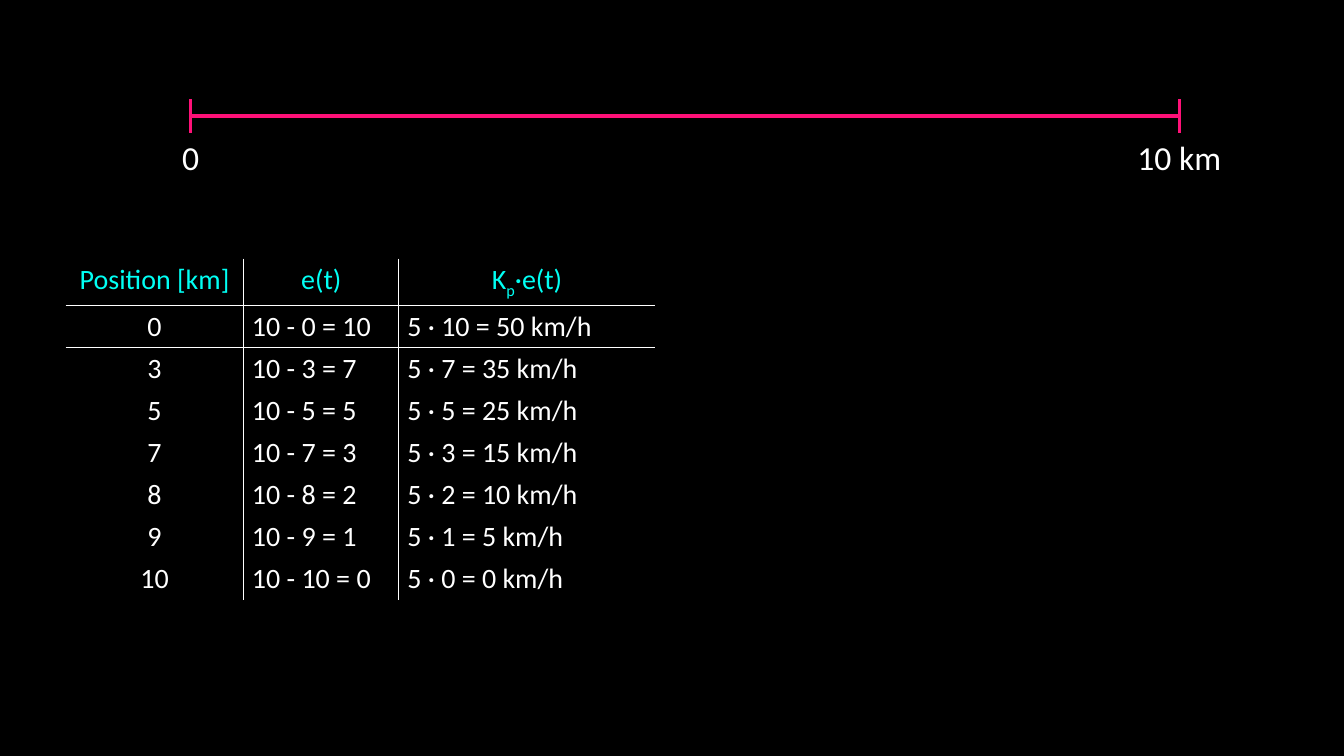
from lxml import etree
from pptx import Presentation
from pptx.dml.color import RGBColor
from pptx.enum.shapes import MSO_CONNECTOR
from pptx.enum.text import MSO_AUTO_SIZE, PP_ALIGN
from pptx.oxml.ns import qn
from pptx.util import Inches, Pt

STRAIGHT = MSO_CONNECTOR.STRAIGHT
FIT_SHAPE = MSO_AUTO_SIZE.SHAPE_TO_FIT_TEXT
CENTER, LEFT = PP_ALIGN.CENTER, PP_ALIGN.LEFT

BLACK, WHITE, PINK, CYAN = "000000", "FFFFFF", "FF1178", "01FFF4"
FONT = "Calibri"
NO_STYLE = "{2D5ABB26-0587-4C30-8999-92F81FD0307C}"

AXIS_Y, TICK_HALF = 1.38, 0.2
AXIS_MARKS = [("0", 2.27, 0.41), ("10 km", 14.04, 1.21)]
LABEL_TOP, LABEL_HEIGHT = 1.58, 0.59

TABLE_LEFT, TABLE_TOP = 0.78, 3.08
COLUMN_WIDTHS = [2.12, 1.85, 3.05]
HEADER_HEIGHT, ROW_HEIGHT = 0.55, 0.5
RULED_ROWS = 2
HEADER = [
    [("Position [km]", 0)],
    [("e(t)", 0)],
    [("K", 0), ("p", -25000), ("·e(t)", 0)],
]
ROWS = [
    ("0", "10 - 0 = 10", "5 · 10 = 50 km/h"),
    ("3", "10 - 3 = 7", "5 · 7 = 35 km/h"),
    ("5", "10 - 5 = 5", "5 · 5 = 25 km/h"),
    ("7", "10 - 7 = 3", "5 · 3 = 15 km/h"),
    ("8", "10 - 8 = 2", "5 · 2 = 10 km/h"),
    ("9", "10 - 9 = 1", "5 · 1 = 5 km/h"),
    ("10", "10 - 10 = 0", "5 · 0 = 0 km/h"),
]


def rgb(color):
    return RGBColor.from_string(color)


def write(paragraph, pieces, size, color, alignment):
    paragraph.alignment = alignment
    for text, baseline in pieces:
        run = paragraph.add_run()
        run.text = text
        for name, value in {"name": FONT, "size": Pt(size)}.items():
            setattr(run.font, name, value)
        run.font.color.rgb = rgb(color)
        if baseline:
            run.font._element.set("baseline", str(baseline))


def add_line(slide, start, end):
    line = slide.shapes.add_connector(STRAIGHT, *map(Inches, start + end))
    line.line.color.rgb = rgb(PINK)
    line.line.width = Pt(3)
    etree.SubElement(line._element.spPr, qn("a:effectLst"))


def add_label(slide, text, center, width):
    box = slide.shapes.add_textbox(
        Inches(center - width / 2), Inches(LABEL_TOP), Inches(width), Inches(LABEL_HEIGHT)
    )
    for name, value in {"word_wrap": False, "auto_size": FIT_SHAPE}.items():
        setattr(box.text_frame, name, value)
    write(box.text_frame.paragraphs[0], [(text, 0)], 28.8, WHITE, CENTER)


def set_borders(cell, sides):
    properties = cell._tc.get_or_add_tcPr()
    for index, side in enumerate("LRTB"):
        border = etree.Element(qn("a:ln" + side), w=str(Pt(1)))
        if side in sides:
            fill = etree.SubElement(border, qn("a:solidFill"))
            etree.SubElement(fill, qn("a:srgbClr"), val=WHITE)
        else:
            etree.SubElement(border, qn("a:noFill"))
        properties.insert(index, border)


def border_sides(row, column):
    return {
        "L": column > 0,
        "R": column < len(COLUMN_WIDTHS) - 1,
        "T": 0 < row <= RULED_ROWS,
        "B": row < RULED_ROWS,
    }


def add_values_table(slide):
    contents = [HEADER] + [[[(text, 0)] for text in row] for row in ROWS]
    heights = [HEADER_HEIGHT] + [ROW_HEIGHT] * len(ROWS)
    frame = slide.shapes.add_table(
        len(contents), len(COLUMN_WIDTHS), Inches(TABLE_LEFT), Inches(TABLE_TOP),
        Inches(sum(COLUMN_WIDTHS)), Inches(sum(heights)),
    )
    table = frame.table
    table.first_row = table.horz_banding = False
    table._tbl.tblPr.find(qn("a:tableStyleId")).text = NO_STYLE
    for column, width in zip(table.columns, COLUMN_WIDTHS):
        column.width = Inches(width)
    for row, height in zip(table.rows, heights):
        row.height = Inches(height)
    for row_index, row in enumerate(contents):
        for column_index, pieces in enumerate(row):
            cell = table.cell(row_index, column_index)
            cell.fill.background()
            sides = border_sides(row_index, column_index)
            set_borders(cell, [side for side, shown in sides.items() if shown])
            color = CYAN if row_index == 0 else WHITE
            alignment = CENTER if row_index == 0 or column_index == 0 else LEFT
            write(cell.text_frame.paragraphs[0], pieces, 24, color, alignment)


def main():
    presentation = Presentation()
    presentation.slide_width = Inches(16)
    presentation.slide_height = Inches(9)
    slide = presentation.slides.add_slide(presentation.slide_layouts[6])
    slide.background.fill.solid()
    slide.background.fill.fore_color.rgb = rgb(BLACK)

    add_line(slide, (AXIS_MARKS[0][1], AXIS_Y), (AXIS_MARKS[-1][1], AXIS_Y))
    for text, x, width in AXIS_MARKS:
        add_line(slide, (x, AXIS_Y + TICK_HALF), (x, AXIS_Y - TICK_HALF))
        add_label(slide, text, x, width)
    add_values_table(slide)
    presentation.save("out.pptx")


if __name__ == "__main__":
    main()
